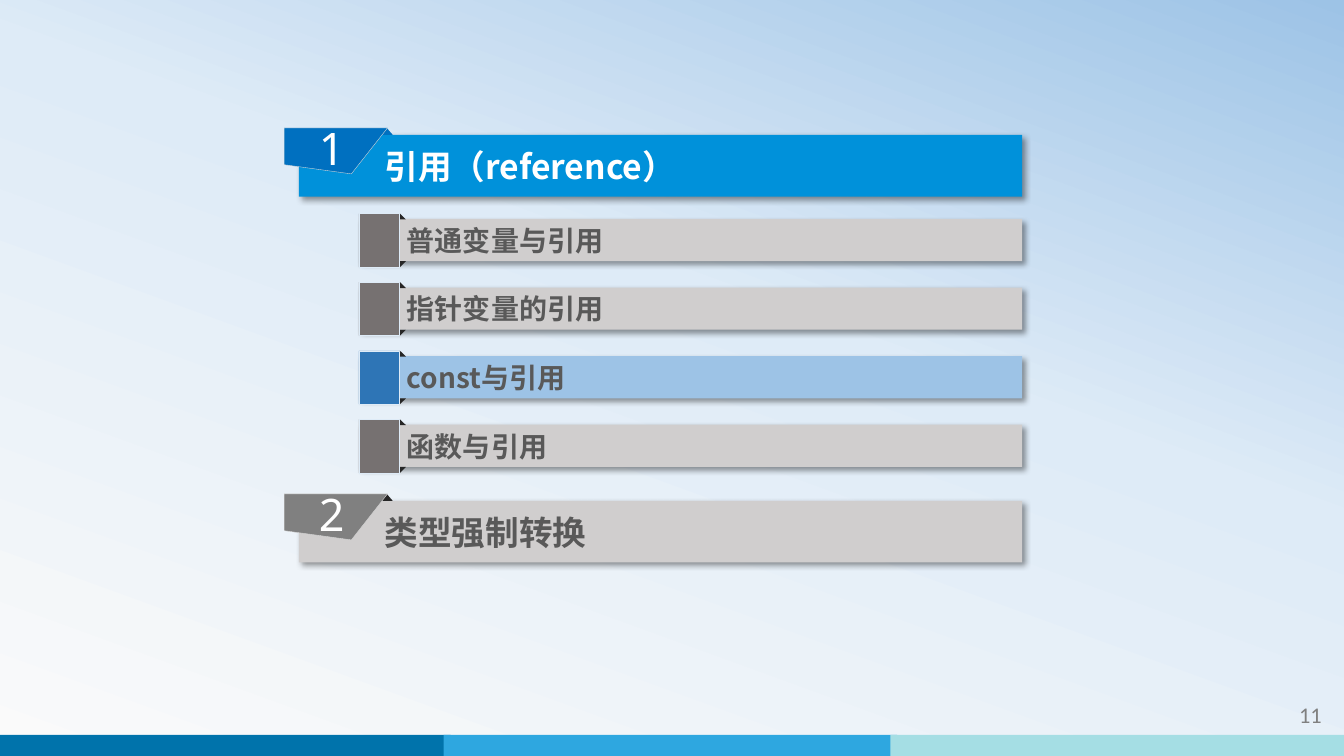
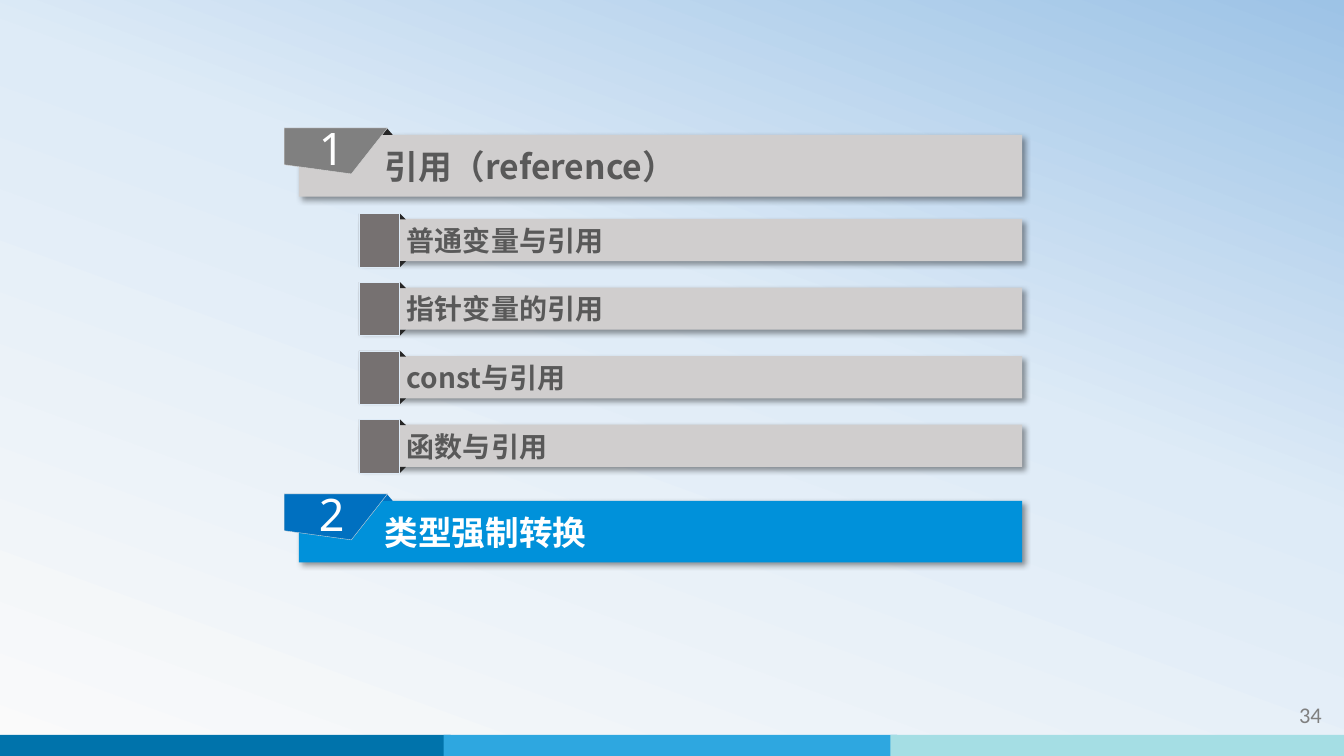
from copy import deepcopy
from dataclasses import dataclass

from lxml.etree import SubElement
from pptx import Presentation
from pptx.dml.color import RGBColor
from pptx.enum.shapes import MSO_SHAPE as Preset
from pptx.enum.text import MSO_ANCHOR as Anchor, PP_ALIGN as Align
from pptx.oxml import parse_xml
from pptx.oxml.ns import nsdecls, qn
from pptx.util import Inches, Pt


@dataclass(frozen=True)
class Tone:
    bar: str
    tab: str
    fold: str
    text: str


@dataclass(frozen=True)
class Theme:
    background = ((0, "FAFAFA"), (0.58, "DEEBF7"), (1, "9DC3E6"))
    background_angle = 70
    bands = ("0073AB", "2EA7E0", "A5DEE4")
    page_color = "808080"
    number_color = "FFFFFF"
    flag_line = "D9D9D9"
    marker_line = "DEEBF7"
    line_width = Pt(0.25)
    chapter_on = Tone("0091DA", "0070C0", "0070C0", "FFFFFF")
    chapter_off = Tone("D0CECE", "808080", "262626", "595959")
    topic_on = Tone("9DC3E6", "2E75B6", "262626", "595959")
    topic_off = Tone("D0CECE", "767171", "262626", "595959")
    chapter_font = {"name": "Noto Sans CJK SC", "size": Pt(24), "bold": True}
    topic_font = {"name": "Noto Sans CJK SC", "size": Pt(20), "bold": True}
    number_font = {"name": "Noto Sans", "size": Pt(32)}
    page_font = {"name": "Calibri", "size": Pt(16)}


THEME = Theme()


@dataclass(frozen=True)
class Box:
    left: float
    top: float
    width: float
    height: float

    def point(self, x, y):
        return (round(self.left + self.width * x / 100),
                round(self.top + self.height * y / 100))

    def inner(self, x, y, width, height):
        """Inner box, given in percent of this one."""
        return Box(*self.point(x, y), round(self.width * width / 100),
                   round(self.height * height / 100))

    @property
    def frame(self):
        return self.left, self.top, self.width, self.height


PAGE = Box(0, 0, Inches(13.33), Inches(7.5))
ROW_STEP = 9.07

CHAPTERS = (
    ("引用（reference）", ("普通变量与引用", "指针变量的引用", "const与引用", "函数与引用")),
    ("类型强制转换", ()),
)
# Page number, active chapter, active topic
AGENDAS = (("11", "引用（reference）", "const与引用"), ("34", "类型强制转换", None))


def paint(shape, fill, line=None):
    shape.shadow.inherit = False
    shape.fill.solid()
    shape.fill.fore_color.rgb = RGBColor.from_string(fill)
    if line:
        shape.line.color.rgb = RGBColor.from_string(line)
        shape.line.width = THEME.line_width
    else:
        shape.line.fill.background()


def add_block(shapes, box, fill, line=None, preset=Preset.RECTANGLE):
    block = shapes.add_shape(preset, *box.frame)
    paint(block, fill, line)
    return block


def cast_shadow(shape):
    effects = shape.element.spPr.find(qn("a:effectLst"))
    effects.append(parse_xml(
        f'<a:outerShdw {nsdecls("a")} blurRad="{Pt(4)}" dist="{Pt(3)}" dir="2700000" '
        'algn="tl" rotWithShape="0"><a:srgbClr val="000000">'
        '<a:alpha val="40000"/></a:srgbClr></a:outerShdw>'))


def write(shape, text, font, color, align=Align.LEFT, **frame_format):
    frame = shape.text_frame
    for key, value in {"word_wrap": True, **frame_format}.items():
        setattr(frame, key, value)
    paragraph = frame.paragraphs[0]
    paragraph.alignment = align
    run = paragraph.add_run()
    run.text = text
    for key, value in font.items():
        setattr(run.font, key, value)
    run.font.color.rgb = RGBColor.from_string(color)
    SubElement(run.font._element, qn("a:ea"), typeface=font["name"])


def add_bar(shapes, box, title, tone, font, indent):
    bar = add_block(shapes, box, tone.bar)
    cast_shadow(bar)
    write(bar, title, font, tone.text, vertical_anchor=Anchor.MIDDLE,
          margin_left=Inches(indent))


def add_chapter(slide, box, number, title, tone):
    shapes = slide.shapes.add_group_shape().shapes
    add_bar(shapes, box.inner(2, 10, 98, 90), title, tone, THEME.chapter_font, 0.85)
    add_block(shapes, box.inner(13.1, 0, 1.6, 10), tone.fold, preset=Preset.ISOSCELES_TRIANGLE)

    corner = box.inner(0, 0, 14, 67)
    start, *outline = [corner.point(x, y) for x, y in ((0, 0), (100, 0), (65, 100), (0, 80))]
    builder = shapes.build_freeform(*start)
    builder.add_line_segments(outline, close=True)
    flag = builder.convert_to_shape()
    paint(flag, tone.tab, THEME.flag_line)
    write(flag, str(number), THEME.number_font, THEME.number_color, Align.CENTER,
          vertical_anchor=Anchor.MIDDLE, margin_left=Inches(0.09), margin_top=Inches(0.04),
          margin_right=Inches(0.17), margin_bottom=Inches(0.1))


def add_topic(slide, box, title, tone):
    shapes = slide.shapes.add_group_shape().shapes
    add_bar(shapes, box.inner(0.1, 10, 99.9, 79), title, tone, THEME.topic_font, 0.47)
    for top, rotation in ((0, 0), (89, 180)):
        fold = add_block(shapes, box.inner(5.3, top, 1.8, 11), tone.fold,
                         preset=Preset.ISOSCELES_TRIANGLE)
        fold.rotation = rotation
    add_block(shapes, box.inner(0, 0, 6.1, 100), tone.tab, THEME.marker_line)


def add_footer(slide, page_number):
    shapes = slide.shapes.add_group_shape().shapes
    for index, color in enumerate(THEME.bands):
        add_block(shapes, PAGE.inner(-0.22 + 33.23 * index, 97.2, 33.75, 2.8), color)
    label = slide.shapes.add_textbox(*PAGE.inner(87.15, 92.13, 11.93, 5.33).frame)
    write(label, page_number, THEME.page_font, THEME.page_color, Align.RIGHT)


def add_agenda(prs, page_number, active_chapter, active_topic):
    slide = prs.slides.add_slide(prs.slide_layouts[6])
    add_footer(slide, page_number)
    top = 16.93
    for number, (chapter, topics) in enumerate(CHAPTERS, 1):
        tone = THEME.chapter_on if chapter == active_chapter else THEME.chapter_off
        add_chapter(slide, PAGE.inner(21.15, top, 54.9, 9.07), number, chapter, tone)
        top += 11.33
        for topic in topics:
            tone = THEME.topic_on if topic == active_topic else THEME.topic_off
            add_topic(slide, PAGE.inner(26.7, top, 49.35, 7.07), topic, tone)
            top += ROW_STEP
        top += 0.8


def set_background(master):
    fill = master.background.fill
    fill.gradient()
    fill.gradient_angle = THEME.background_angle
    first = fill.gradient_stops[0]._gs
    first.addnext(deepcopy(first))
    for stop, (position, color) in zip(fill.gradient_stops, THEME.background):
        stop.position = position
        stop.color.rgb = RGBColor.from_string(color)


def main():
    prs = Presentation()
    prs.slide_width, prs.slide_height = PAGE.width, PAGE.height
    set_background(prs.slide_master)
    for agenda in AGENDAS:
        add_agenda(prs, *agenda)
    prs.save("out.pptx")


if __name__ == "__main__":
    main()
